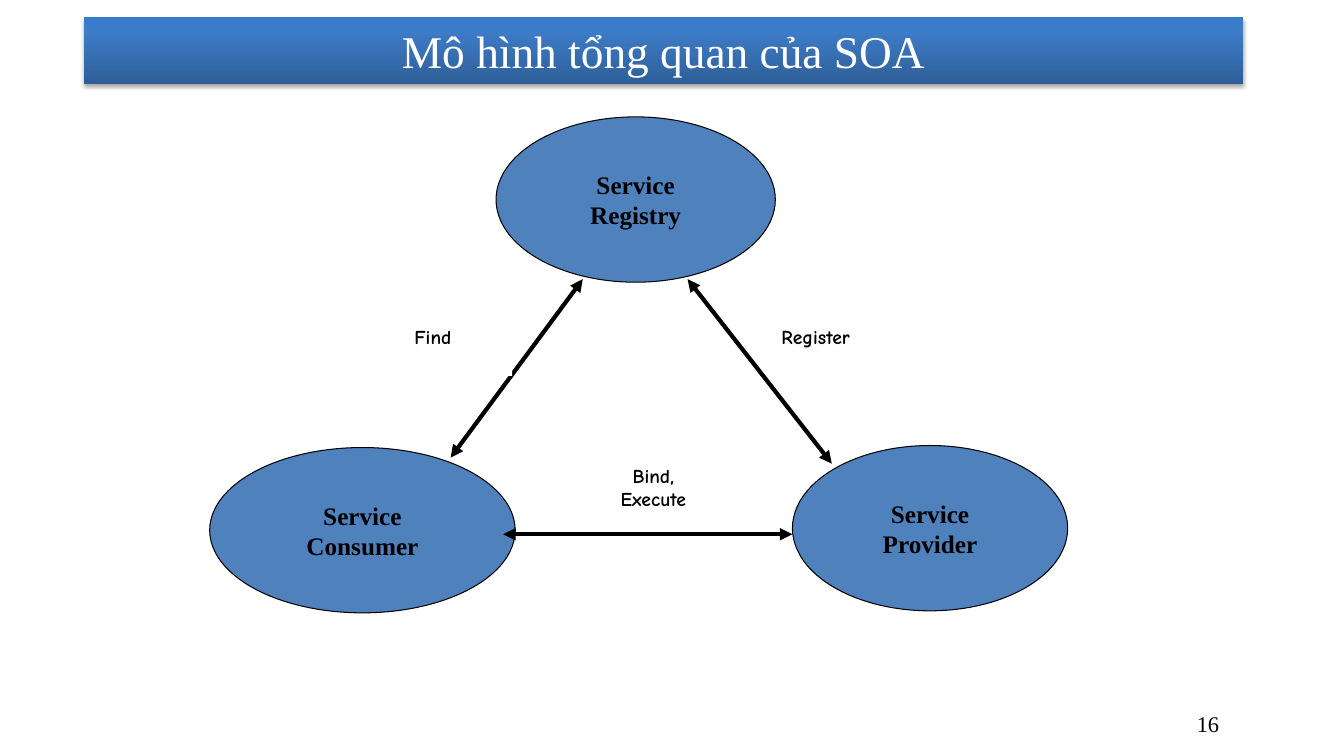
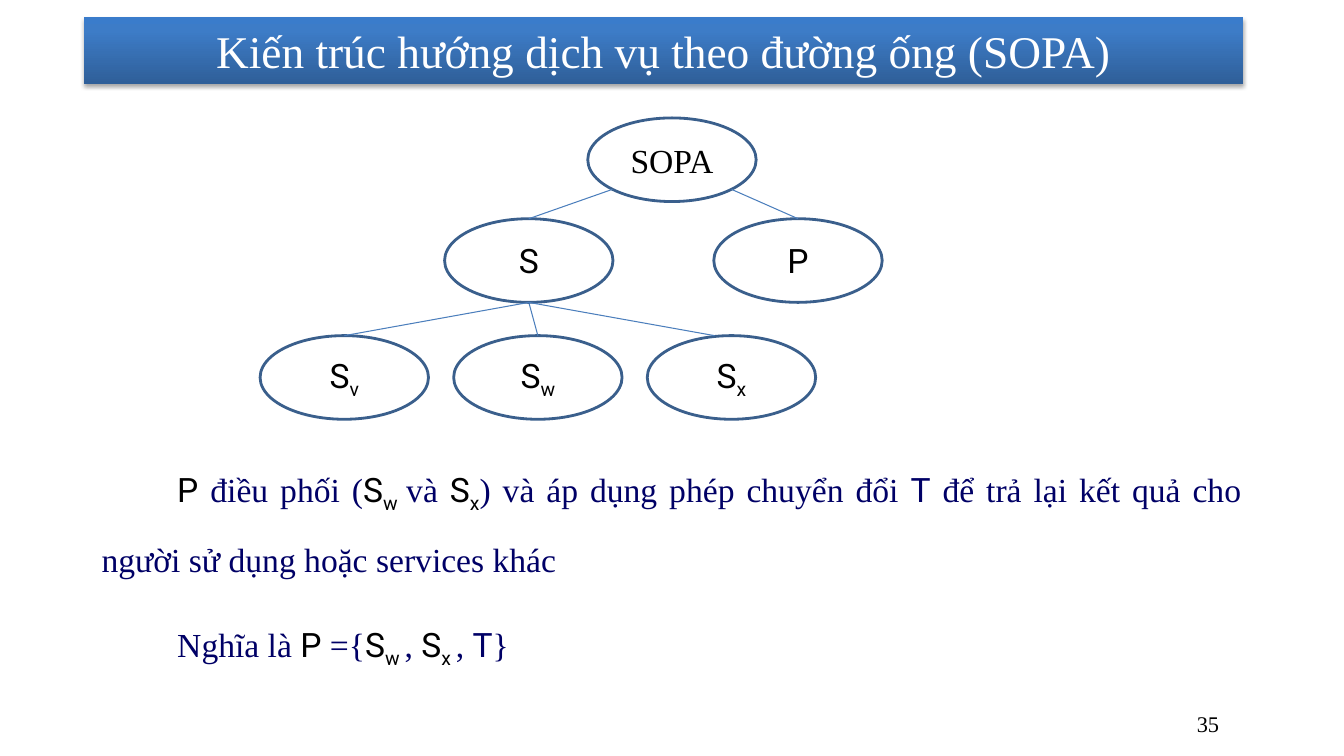
from copy import deepcopy
from math import sqrt
from typing import NamedTuple

from lxml.etree import SubElement
from pptx import Presentation
from pptx.dml.color import RGBColor
from pptx.enum.shapes import MSO_CONNECTOR as Connector, MSO_SHAPE as Shape
from pptx.enum.text import MSO_ANCHOR as Anchor, PP_ALIGN as Align
from pptx.oxml.ns import qn
from pptx.util import Inches, Pt

BLACK = RGBColor(0x00, 0x00, 0x00)
WHITE = RGBColor(0xFF, 0xFF, 0xFF)
NAVY = RGBColor(0x00, 0x00, 0x66)
SERVICE_BLUE = RGBColor(0x4F, 0x81, 0xBD)
NODE_BLUE = RGBColor(0x3A, 0x5F, 0x8C)
BRANCH_BLUE = RGBColor(0x4B, 0x7E, 0xBC)
BANNER_STOPS = (
    (0, RGBColor(0x2F, 0x5F, 0x99)),
    (0.8, RGBColor(0x3D, 0x7C, 0xC7)),
    (1, RGBColor(0x3A, 0x7C, 0xCB)),
)
SERIF, SANS, HAND = "Times New Roman", "Roboto", "Comic Neue"


class Box(NamedTuple):
    left: float
    top: float
    width: float
    height: float

    def inner(self, left, top, width, height):
        return Box(self.left + left, self.top + top, width, height)

    def point(self, x, y):
        return self.left + x, self.top + y

    def rim(self, x, y):
        return self.point(self.width * (1 + x) / 2, self.height * (1 + y) / 2)

    def lengths(self):
        return [Inches(value) for value in self]


BANNER = Box(0.83, 0.17, 11.5, 0.66)
PAGE_NUMBER = Box(9.08, 6.98, 3.11, 0.4)
SERVICE_MODEL = Box(2.08, 1.16, 8.51, 4.92)
SERVICE_TREE = Box(2.58, 1.17, 6.17, 3)
EXPLANATION = Box(0.91, 4.33, 11.5, 3.14)


def write_text(shape, paragraphs, size=18, font=SERIF, color=BLACK, bold=False,
               align=Align.CENTER, anchor=Anchor.MIDDLE, inset=None,
               indent=0, line_spacing=None, gap=0):
    frame = shape.text_frame
    frame.word_wrap = True
    frame.vertical_anchor = anchor
    if inset is not None:
        frame.margin_left = frame.margin_right = Inches(inset)
        frame.margin_top = frame.margin_bottom = Inches(inset)
    for index, runs in enumerate(paragraphs):
        paragraph = frame.add_paragraph() if index else frame.paragraphs[0]
        paragraph.alignment = align
        paragraph.line_spacing = line_spacing
        paragraph.space_before = paragraph.space_after = Pt(gap)
        if indent:
            properties = paragraph._p.get_or_add_pPr()
            properties.set("marL", "0")
            properties.set("indent", str(Inches(indent)))
        for item in [runs] if isinstance(runs, str) else runs:
            text, style = (item, {}) if isinstance(item, str) else item
            run = paragraph.add_run()
            run.text = text
            run.font.size = Pt(size)
            run.font.bold = bold
            run.font.name = style.get("font", font)
            run.font.color.rgb = style.get("color", color)
            if style.get("subscript"):
                run._r.get_or_add_rPr().set("baseline", "-25000")


def add_text(slide, box, paragraphs, **text_format):
    write_text(slide.shapes.add_textbox(*box.lengths()), paragraphs, **text_format)


def add_ellipse(slide, box, paragraphs, fill=None, line=BLACK, line_width=0.75,
                **text_format):
    shape = slide.shapes.add_shape(Shape.OVAL, *box.lengths())
    shape.shadow.inherit = False
    if fill is None:
        shape.fill.background()
    else:
        shape.fill.solid()
        shape.fill.fore_color.rgb = fill
    shape.line.color.rgb = line
    shape.line.width = Pt(line_width)
    write_text(shape, paragraphs, **text_format)
    return box


def add_line(slide, start, end, color=BRANCH_BLUE, width=0.75, arrows=False):
    ends = [Inches(value) for value in (*start, *end)]
    connector = slide.shapes.add_connector(Connector.STRAIGHT, *ends)
    connector.line.color.rgb = color
    connector.line.width = Pt(width)
    if arrows:
        outline = connector.line._get_or_add_ln()
        for tag in ("a:headEnd", "a:tailEnd"):
            SubElement(outline, qn(tag), type="triangle")
    SubElement(connector._element.spPr, qn("a:effectLst"))


def add_banner(slide, box, title):
    banner = slide.shapes.add_shape(Shape.RECTANGLE, *box.lengths())
    banner.line.fill.background()
    banner.fill.gradient()
    banner.fill.gradient_angle = 90
    properties = banner._element.spPr
    stop_list = properties.find(".//" + qn("a:gsLst"))
    stop_list.append(deepcopy(stop_list[-1]))
    for stop, (position, color) in zip(banner.fill.gradient_stops, BANNER_STOPS):
        stop.position = position
        stop.color.rgb = color
    banner.shadow.inherit = False
    shadow = SubElement(properties.find(qn("a:effectLst")), qn("a:outerShdw"),
                        blurRad=str(Pt(3.1)), dist=str(Pt(1.8)),
                        dir="5400000", rotWithShape="0")
    shade = SubElement(shadow, qn("a:srgbClr"), val=str(BLACK))
    SubElement(shade, qn("a:alpha"), val="35000")
    write_text(banner, [title], size=32.4, color=WHITE, inset=0)


def add_base_slide(presentation, title, number):
    slide = presentation.slides.add_slide(presentation.slide_layouts[6])
    add_banner(slide, BANNER, title)
    add_text(slide, PAGE_NUMBER, [str(number)], size=16, align=Align.RIGHT)
    return slide


def add_action(slide, box, lines, align=Align.LEFT):
    label = slide.shapes.add_textbox(*box.lengths())
    label.fill.solid()
    label.fill.fore_color.rgb = WHITE
    write_text(label, lines, size=14, font=HAND, bold=True, align=align,
               anchor=Anchor.TOP, inset=0)


def add_service_model(slide, box):
    add_action(slide, box.inner(3.65, 3.44, 1.5, 0.99), ["Bind,", "Execute"],
               align=Align.CENTER)
    for role, left, top, width in (("Registry", 2.84, 0, 2.77),
                                   ("Provider", 5.78, 3.26, 2.73),
                                   ("Consumer", 0, 3.28, 3.03)):
        add_ellipse(slide, box.inner(left, top, width, 1.64), ["Service", role],
                    fill=SERVICE_BLUE, bold=True)
    for start, end in (((2.39, 3.38), (3.7, 1.61)),
                       ((6.17, 3.44), (4.74, 1.61)),
                       ((2.91, 4.14), (5.78, 4.14))):
        add_line(slide, box.point(*start), box.point(*end), color=BLACK,
                 width=3, arrows=True)
    add_action(slide, box.inner(2.03, 2.06, 0.97, 0.51), ["Find"])
    add_action(slide, box.inner(5.67, 2.06, 1.56, 0.51), ["Register"])


def symbol(letter, index=""):
    style = {"font": SANS, "color": BLACK}
    runs = [(letter, style)]
    if index:
        runs.append((index, {**style, "subscript": True}))
    return runs


def add_service_tree(slide, box):
    def add_node(left, top, runs):
        return add_ellipse(slide, box.inner(left, top, 1.67, 0.83), [runs],
                           line=NODE_BLUE, line_width=2, size=24)

    root = add_node(3.25, 0, "SOPA")
    services = add_node(1.83, 1, symbol("S"))
    pipeline = add_node(4.5, 1, symbol("P"))
    leaves = [add_node(1.92 * column, 2.16, symbol("S", index))
              for column, index in enumerate("vwx")]

    diagonal = 1 / sqrt(2)
    add_line(slide, root.rim(-diagonal, diagonal), services.rim(0, -1))
    add_line(slide, root.rim(diagonal, diagonal), pipeline.rim(0, -1))
    for leaf, offset in zip(leaves, (0, 0, -0.2)):
        add_line(slide, services.rim(0, 1), leaf.rim(offset, -1))


def add_explanation(slide, box):
    transform = ("T", {"font": SANS})
    coordination = [
        *symbol("P "), "điều phối (", *symbol("S", "w "), "và ", *symbol("S", "x"),
        ") và áp dụng phép chuyển đổi ", transform,
        " để trả lại kết quả cho người sử dụng hoặc services khác",
    ]
    meaning = [
        "Nghĩa là ", *symbol("P"), " ={", *symbol("S", "w "), ", ",
        *symbol("S", "x "), ", ", transform, "}",
    ]
    add_text(slide, box, [coordination, meaning], size=24, color=NAVY,
             align=Align.JUSTIFY, anchor=Anchor.TOP, indent=0.75,
             line_spacing=1.6, gap=6)


def main():
    presentation = Presentation()
    presentation.slide_width = Inches(13.33)
    presentation.slide_height = Inches(7.5)

    overview = add_base_slide(presentation, "Mô hình tổng quan của SOA", 16)
    add_service_model(overview, SERVICE_MODEL)

    pipeline = add_base_slide(
        presentation, "Kiến trúc hướng dịch vụ theo đường ống (SOPA)", 35)
    add_service_tree(pipeline, SERVICE_TREE)
    add_explanation(pipeline, EXPLANATION)

    presentation.save("out.pptx")


if __name__ == "__main__":
    main()
